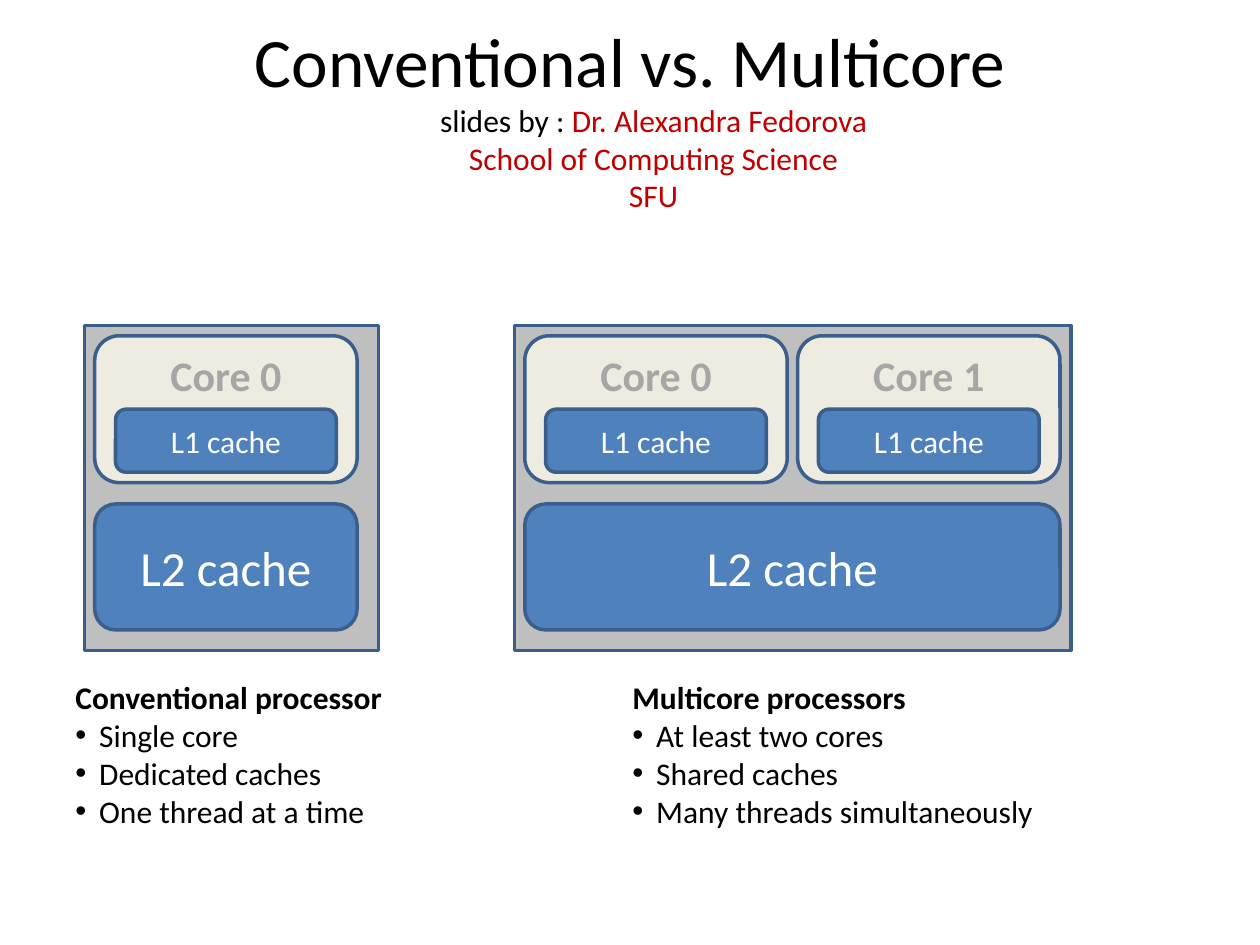
import lxml.etree
import pptx
import pptx.dml.color
import pptx.enum.shapes
import pptx.enum.text
import pptx.oxml.ns
import pptx.util
from pptx.util import Cm, Pt

RGBColor = pptx.dml.color.RGBColor
SHAPE = pptx.enum.shapes.MSO_SHAPE
ANCHOR = pptx.enum.text.MSO_ANCHOR
ALIGN = pptx.enum.text.PP_ALIGN

BLACK = RGBColor(0x00, 0x00, 0x00)
WHITE = RGBColor(0xFF, 0xFF, 0xFF)
RED = RGBColor(0xC0, 0x00, 0x00)
CHIP_GRAY = RGBColor(0xBF, 0xBF, 0xBF)
CORE_CREAM = RGBColor(0xEE, 0xEC, 0xE1)
CORE_TEXT = RGBColor(0xA6, 0xA6, 0xA6)
CACHE_BLUE = RGBColor(0x4F, 0x81, 0xBD)
OUTLINE = RGBColor(0x3A, 0x5F, 0x8C)

# Chip layout, in centimetres
PADDING = 0.21
CORE_WIDTH, CORE_HEIGHT, CORE_STEP = 5.29, 2.96, 5.5
CHIP_HEIGHT = 6.56


def format_font(font, size, color, bold=False):
    font.name = "Calibri"
    font.size = Pt(size)
    font.color.rgb = color
    font.bold = bold


def add_block(slide, kind, left, top, width, height, fill):
    shape = slide.shapes.add_shape(kind, Cm(left), Cm(top), Cm(width), Cm(height))
    shape.shadow.inherit = False
    shape.fill.solid()
    shape.fill.fore_color.rgb = fill
    shape.line.color.rgb = OUTLINE
    shape.line.width = Pt(2)
    return shape


def add_label(shape, text, size, color, bold=False, anchor=ANCHOR.MIDDLE):
    text_frame = shape.text_frame
    text_frame.text = text
    text_frame.vertical_anchor = anchor
    paragraph = text_frame.paragraphs[0]
    paragraph.alignment = ALIGN.CENTER
    format_font(paragraph.runs[0].font, size, color, bold)


def fill_title(slide, left, top, width, height):
    title = slide.shapes.title
    title.left, title.top = Cm(left), Cm(top)
    title.width, title.height = Cm(width), Cm(height)
    text_frame = title.text_frame
    text_frame.auto_size = pptx.enum.text.MSO_AUTO_SIZE.NONE
    text_frame.vertical_anchor = ANCHOR.MIDDLE
    text_frame.margin_bottom = Cm(1.57)  # lifts the centred text
    paragraph = text_frame.paragraphs[0]
    paragraph.alignment = ALIGN.CENTER
    properties = paragraph._p.get_or_add_pPr()
    properties.set("marL", str(Cm(0.95)))
    properties.set("indent", str(-Cm(0.95)))
    lines = [
        [("Conventional vs. Multicore", 39.6, BLACK)],
        [("slides by : ", 18, BLACK), ("Dr. Alexandra Fedorova", 18, RED)],
        [("School of Computing Science", 18, RED)],
        [("SFU", 18, RED)],
    ]
    for number, line in enumerate(lines):
        if number:
            paragraph.add_line_break()
            # The break takes the size of the line that it ends
            lxml.etree.SubElement(paragraph._p[-1], pptx.oxml.ns.qn("a:rPr"),
                                  sz=str(round(size * 100)))
        for text, size, color in line:
            run = paragraph.add_run()
            run.text = text
            format_font(run.font, size, color)


def add_core(slide, left, top, name):
    core = add_block(slide, SHAPE.ROUNDED_RECTANGLE, left, top,
                     CORE_WIDTH, CORE_HEIGHT, CORE_CREAM)
    add_label(core, name, 24, CORE_TEXT, bold=True, anchor=ANCHOR.TOP)
    cache = add_block(slide, SHAPE.ROUNDED_RECTANGLE, left + 0.42, top + 1.48,
                      4.45, 1.27, CACHE_BLUE)
    add_label(cache, "L1 cache", 18, WHITE)


def add_chip(slide, left, top, width, core_count):
    add_block(slide, SHAPE.RECTANGLE, left, top, width, CHIP_HEIGHT, CHIP_GRAY)
    for number in range(core_count):
        add_core(slide, left + PADDING + number * CORE_STEP, top + PADDING,
                 f"Core {number}")
    cache_width = CORE_WIDTH + (core_count - 1) * CORE_STEP
    cache = add_block(slide, SHAPE.ROUNDED_RECTANGLE, left + PADDING, top + 3.6,
                      cache_width, 2.54, CACHE_BLUE)
    add_label(cache, "L2 cache", 28, WHITE)


def add_description(slide, left, top, width, heading, points):
    box = slide.shapes.add_textbox(Cm(left), Cm(top), Cm(width), Cm(3.33))
    text_frame = box.text_frame
    text_frame.word_wrap = True
    text_frame.text = "\n".join([heading, *points])
    for number, paragraph in enumerate(text_frame.paragraphs):
        if number:
            properties = paragraph._p.get_or_add_pPr()
            properties.set("marL", str(Cm(0.48)))
            properties.set("indent", str(-Cm(0.48)))
            lxml.etree.SubElement(properties, pptx.oxml.ns.qn("a:buFont"),
                                  typeface="Arial")
            lxml.etree.SubElement(properties, pptx.oxml.ns.qn("a:buChar"), char="•")
        format_font(paragraph.runs[0].font, 18, BLACK, bold=number == 0)


def main():
    presentation = pptx.Presentation()
    presentation.slide_width, presentation.slide_height = Cm(25.4), Cm(19.05)
    slide = presentation.slides.add_slide(presentation.slide_layouts[5])

    fill_title(slide, 1.27, 1.47, 22.86, 3.18)

    # Conventional processor
    add_chip(slide, 1.7, 6.56, 5.93, core_count=1)
    add_description(slide, 1.27, 13.55, 6.78, "Conventional processor",
                    ["Single core", "Dedicated caches", "One thread at a time"])

    # Multicore processor
    add_chip(slide, 10.37, 6.56, 11.22, core_count=2)
    add_description(slide, 12.5, 13.55, 9.32, "Multicore processors",
                    ["At least two cores", "Shared caches",
                     "Many threads simultaneously"])

    presentation.save("out.pptx")


if __name__ == "__main__":
    main()
